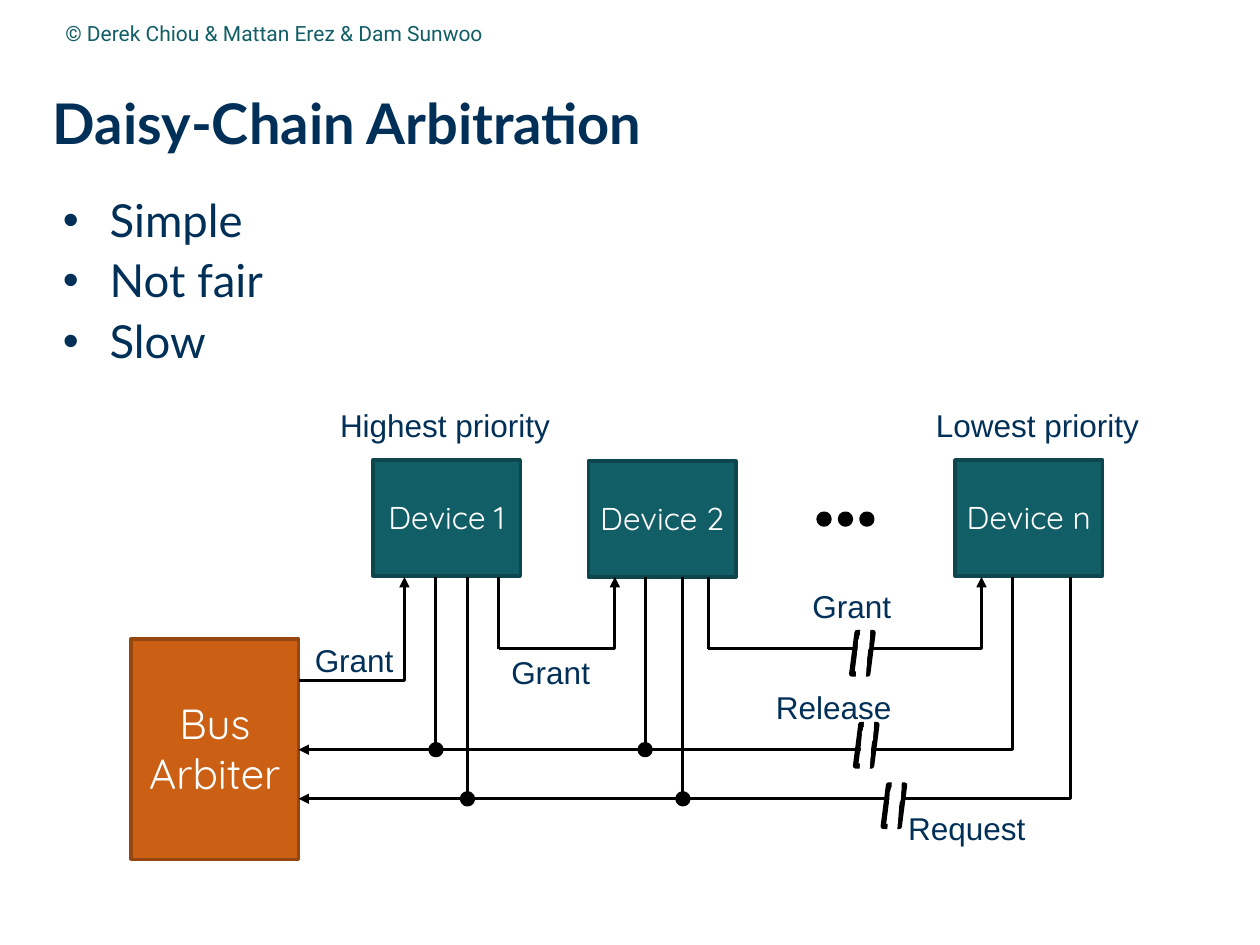
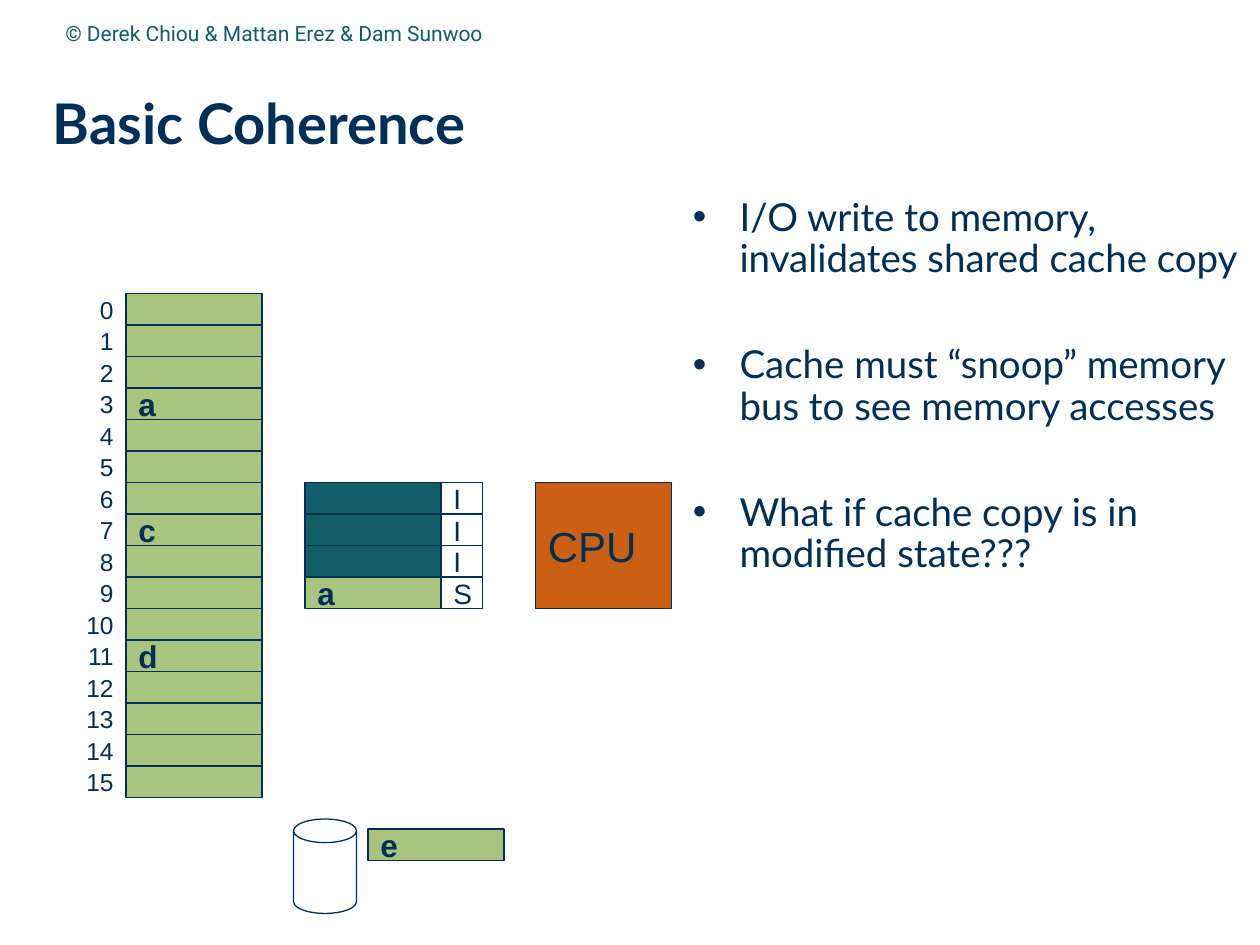
from lxml import etree
from pptx import Presentation
from pptx.dml.color import RGBColor
from pptx.enum.shapes import MSO_CONNECTOR, MSO_SHAPE
from pptx.enum.text import MSO_ANCHOR, MSO_AUTO_SIZE, PP_ALIGN
from pptx.oxml.ns import qn
from pptx.util import Inches, Pt

RECT, OVAL, CAN = MSO_SHAPE.RECTANGLE, MSO_SHAPE.OVAL, MSO_SHAPE.CAN
SLANT = MSO_SHAPE.PARALLELOGRAM
STRAIGHT, ELBOW = MSO_CONNECTOR.STRAIGHT, MSO_CONNECTOR.ELBOW
LEFT, CENTER, RIGHT = PP_ALIGN.LEFT, PP_ALIGN.CENTER, PP_ALIGN.RIGHT
TOP, MIDDLE = MSO_ANCHOR.TOP, MSO_ANCHOR.MIDDLE
FIT, NO_FIT = MSO_AUTO_SIZE.SHAPE_TO_FIT_TEXT, MSO_AUTO_SIZE.NONE

COLORS = {
    "navy": "003057",
    "teal": "115E67",
    "teal_edge": "0D464C",
    "orange": "CB6015",
    "orange_edge": "964710",
    "green": "A9C47F",
    "black": "000000",
    "white": "FFFFFF",
}
CREDIT = "© Derek Chiou & Mattan Erez & Dam Sunwoo"
ROW_H, CELL_W = 0.25, 1.08


def rgb(name):
    """Return the named colour."""
    return RGBColor.from_string(COLORS[name])


def inches(*values):
    """Convert numbers to lengths."""
    return [Inches(v) for v in values]


def set_text(sp, text, font, size, color="navy", bold=False, align=LEFT,
             anchor=MIDDLE, wrap=True, inset=True, spacing=None):
    """Fill a shape with text, one paragraph a line, and format it."""
    tf = sp.text_frame
    tf.text = text
    tf.word_wrap = wrap
    tf.auto_size = NO_FIT
    tf.vertical_anchor = anchor
    if not inset:
        tf.margin_left = tf.margin_top = tf.margin_right = tf.margin_bottom = 0
    for p in tf.paragraphs:
        p.alignment = align
        p.line_spacing = spacing
        for r in p.runs:
            r.font.name, r.font.size, r.font.bold = font, Pt(size), bold
            r.font.color.rgb = rgb(color)
    return tf


def add_text(s, box, text, font, size, **style):
    """Add a text box and return its frame."""
    return set_text(s.shapes.add_textbox(*inches(*box)), text, font, size, **style)


def add_shape(shapes, kind, box, fill, line, width):
    """Add a preset shape without shadow; a fill of None leaves it hollow."""
    sp = shapes.add_shape(kind, *inches(*box))
    sp.shadow.inherit = False
    if fill:
        sp.fill.solid()
        sp.fill.fore_color.rgb = rgb(fill)
    else:
        sp.fill.background()
    sp.line.color.rgb = rgb(line)
    sp.line.width = Pt(width)
    return sp


def add_wire(s, start, end, bend=None):
    """Add a plain wire, or an elbow with an arrowhead bent at a share of its width."""
    kind = STRAIGHT if bend is None else ELBOW
    cx = s.shapes.add_connector(kind, *inches(*start, *end))
    cx.line.color.rgb = rgb("black")
    cx.line.width = Pt(1.75)
    sp_pr = cx._element.spPr
    if bend is not None:
        guides = sp_pr.find(qn("a:prstGeom")).get_or_add_avLst()
        etree.SubElement(guides, qn("a:gd"), name="adj1", fmla=f"val {bend * 100000}")
        etree.SubElement(sp_pr.find(qn("a:ln")), qn("a:tailEnd"), type="triangle")
    etree.SubElement(sp_pr, qn("a:effectLst"))


def add_dot(s, x, y):
    """Add a round black dot centred on a point."""
    add_shape(s.shapes, OVAL, (x - 0.04, y - 0.04, 0.08, 0.08), "black", "black", 3)


def add_break(s, x, y):
    """Add a double-slash break that hides the wire between its strokes."""
    shapes = s.shapes.add_group_shape().shapes
    add_shape(shapes, SLANT, (x, y, 0.17, 0.33), None, "black", 3)
    for dx, dy, h in ((0.08, -0.08, 0.2), (0.05, 0.23, 0.17), (0.06, 0.06, 0.2)):
        add_shape(shapes, SLANT, (x + dx, y + dy, 0.05, h), "white", "white", 3)


def add_block(s, box, text, size, color):
    """Add a coloured block with a centred white label."""
    sp = add_shape(s.shapes, RECT, box, color, color + "_edge", 2)
    set_text(sp, text, "Quicksand", size, "white", align=CENTER, inset=False, spacing=0.99)


def add_cell(s, x, y, fill, text="", width=CELL_W, height=ROW_H, size=18, bold=True):
    """Add a storage cell with an optional label."""
    sp = add_shape(s.shapes, RECT, (x, y, width, height), fill, "navy", 0.75)
    if text:
        set_text(sp, text, "Arial", size, bold=bold, wrap=False)


def add_bullets(s, box, items, size, gap=6.5):
    """Add a bulleted list with a gap in points between its items."""
    tf = add_text(s, box, "\n".join(items), "Lato", size, anchor=TOP, inset=False, spacing=0.9)
    for i, p in enumerate(tf.paragraphs):
        p.space_before = Pt(gap if i else 6.5)
        p_pr = p._p.get_or_add_pPr()
        p_pr.set("marL", str(Inches(0.37)))
        p_pr.set("indent", str(Inches(-0.37)))
        bu_clr = etree.SubElement(p_pr, qn("a:buClr"))
        etree.SubElement(bu_clr, qn("a:srgbClr"), val=COLORS["navy"])
        etree.SubElement(p_pr, qn("a:buFont"), typeface="Arial")
        etree.SubElement(p_pr, qn("a:buChar"), char="•")


def add_titled_slide(prs, title):
    """Add a slide with its title and the credit line."""
    s = prs.slides.add_slide(prs.slide_layouts[5])
    sp = s.shapes.title
    sp.left, sp.top, sp.width, sp.height = inches(0.42, 0.5, 9.41, 0.98)
    set_text(sp, title, "Lato", 32, bold=True, inset=False, spacing=0.99)
    add_text(s, (0.42, 0.03, 5.67, 0.46), CREDIT, "Roboto", 12, color="teal")
    return s


def add_daisy_chain(s, x, y):
    """Draw the arbiter, its chained devices and the shared wires."""
    arbiter = x + 1.37
    pins = y + 1.58
    grant, release, request = y + 2.15, y + 2.95, y + 3.34

    add_block(s, (x + 0.04, y + 2.07, 1.33, 1.75), "Bus\nArbiter", 24, "orange")
    for name, dx, dy in (("1", 1.96, 0.65), ("2", 3.67, 0.66), ("n", 6.58, 0.65)):
        add_block(s, (x + dx, y + dy, 1.17, 0.92), f"Device {name}", 18, "teal")

    add_wire(s, (arbiter, y + 2.4), (x + 2.21, pins), 1)
    for out_dx, in_dx in ((2.96, 3.88), (4.62, 6.79)):
        add_wire(s, (x + out_dx, pins), (x + out_dx, grant))
        add_wire(s, (x + out_dx, grant), (x + in_dx, pins), 1)
    for bus, last_dx, tap_dxs in ((release, 7.04, (2.46, 4.12)),
                                  (request, 7.5, (2.71, 4.42))):
        add_wire(s, (x + last_dx, pins), (arbiter, bus), 0)
        for dx in tap_dxs:
            add_wire(s, (x + dx, pins), (x + dx, bus))
            add_dot(s, x + dx, bus)

    for dx, dy in ((5.79, 2.75), (5.76, 2.02), (6.01, 3.23)):
        add_break(s, x + dx, y + dy)
    for text, dx, dy, w in (
        ("Grant", 5.35, 1.61, 0.83),
        ("Release", 5.06, 2.41, 1.13),
        ("Request", 6.11, 3.37, 1.14),
        ("Grant", 2.96, 2.13, 0.83),
        ("Grant", 1.4, 2.04, 0.83),
        ("Lowest priority", 6.33, 0.17, 1.83),
        ("Highest priority", 1.6, 0.17, 1.88),
    ):
        tf = add_text(s, (x + dx, y + dy, w, 0.4), text, "Arial", 18, anchor=TOP, wrap=False)
        tf.auto_size = FIT
    for i in range(3):
        add_dot(s, x + 5.54 + 0.17 * i, y + 1.12)


def add_memory(s, x, y, rows, contents):
    """Draw a column of numbered memory cells."""
    for i in range(rows):
        top = y + ROW_H * i
        add_text(s, (x, top, 0.58, ROW_H), str(i), "Arial", 14, align=RIGHT, wrap=False)
        add_cell(s, x + 0.58, top, "green", contents.get(i, ""))


def add_cache(s, x, y, lines):
    """Draw cache lines, each with its data and state."""
    for i, (data, state) in enumerate(lines):
        top = y + ROW_H * i
        add_cell(s, x, top, "green" if data else "teal", data)
        add_cell(s, x + CELL_W, top, "white", state, width=0.33, size=16, bold=False)


def add_disk(s, x, y, data):
    """Draw a disk and the block it holds."""
    sp = add_shape(s.shapes, CAN, (x, y, 0.5, 0.75), None, "navy", 0.75)
    sp.adjustments[0] = 0.375
    add_cell(s, x + 0.59, y + 0.08, "green", data)


def build_arbitration(prs):
    """Build the daisy-chain slide."""
    s = add_titled_slide(prs, "Daisy-Chain Arbitration")
    add_bullets(s, (0.5, 1.57, 9.33, 1.5), ["Simple", "Not fair", "Slow"], 26)
    add_daisy_chain(s, 1, 3)


def build_coherence(prs):
    """Build the cache coherence slide."""
    s = add_titled_slide(prs, "Basic Coherence")
    add_bullets(s, (5.5, 1.57, 4.33, 5.91), [
        "I/O write to memory, invalidates shared cache copy",
        "Cache must “snoop” memory bus to see memory accesses",
        "What if cache copy is in modified state???",
    ], 22, gap=36.8)
    add_memory(s, 0.42, 2.33, 16, {3: "a", 7: "c", 11: "d"})
    add_cache(s, 2.42, 3.83, [("", "I"), ("", "I"), ("", "I"), ("a", "S")])
    add_cell(s, 4.25, 3.83, "orange", "CPU", height=1, size=24, bold=False)
    add_disk(s, 2.33, 6.5, "e")


def main():
    """Build and save the presentation."""
    prs = Presentation()
    prs.slide_width, prs.slide_height = inches(10, 7.5)
    build_arbitration(prs)
    build_coherence(prs)
    prs.save("out.pptx")


if __name__ == "__main__":
    main()
